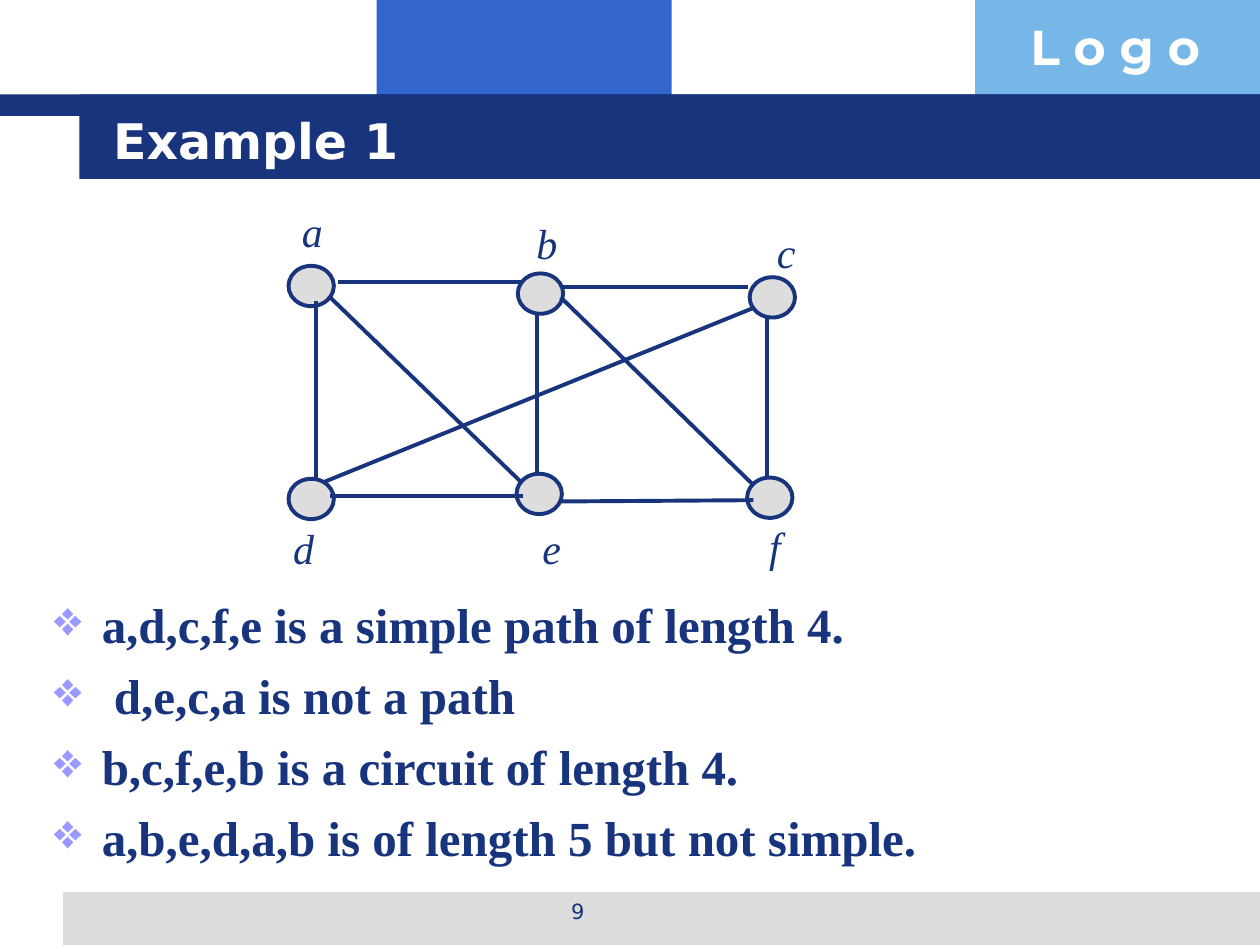
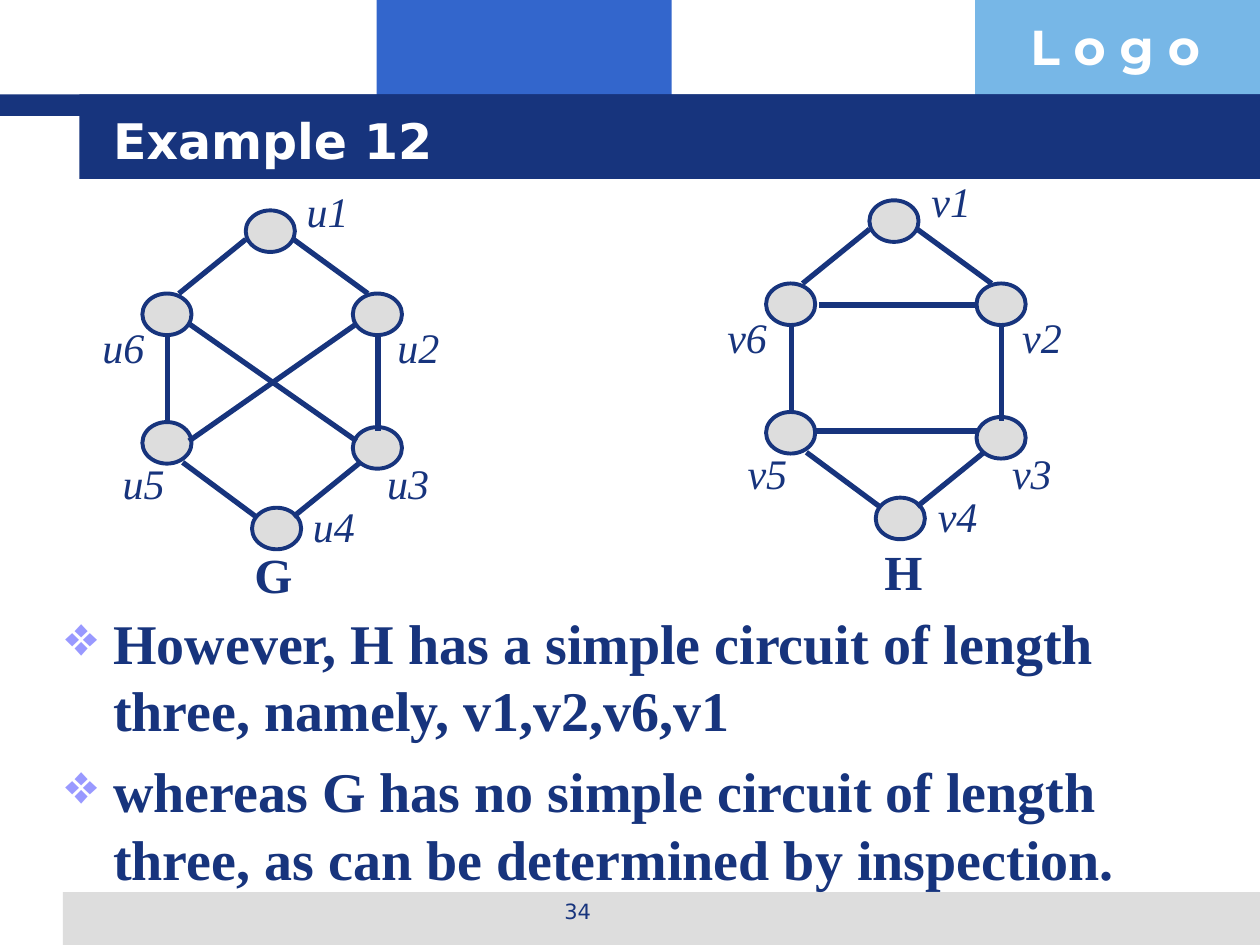
"""Build two graph-theory example slides with a shared banner and footer."""
from dataclasses import dataclass
from typing import NamedTuple

import pptx
import pptx.dml.color
import pptx.enum.shapes
import pptx.enum.text
import pptx.oxml.ns
import pptx.slide
import pptx.text.text
import pptx.util
from lxml import etree

Inches = pptx.util.Inches
Pt = pptx.util.Pt
RGB = pptx.dml.color.RGBColor.from_string
qn = pptx.oxml.ns.qn
SHAPE = pptx.enum.shapes.MSO_SHAPE
ALIGN = pptx.enum.text.PP_ALIGN
ANCHOR = pptx.enum.text.MSO_ANCHOR
Slide = pptx.slide.Slide


@dataclass(frozen=True)
class Theme:
    navy: str = "17347D"
    blue: str = "3366CC"
    sky: str = "77B7E7"
    grey: str = "DDDDDD"
    white: str = "FFFFFF"
    bullet: str = "9999FF"
    sans: str = "DejaVu Sans"
    serif: str = "Times New Roman"
    logo: str = "Montserrat"
    heading: int = 28
    label: int = 24
    footer: int = 12
    outline: float = 2.25


THEME = Theme()


class Box(NamedTuple):
    left: float
    top: float
    width: float
    height: float

    def lengths(self) -> list[int]:
        return [Inches(v) for v in self]


class Band(NamedTuple):
    box: Box
    fill: str


class Node(NamedTuple):
    name: str
    left: float
    top: float
    label_x: float
    label_top: float


class Edge(NamedTuple):
    x1: float
    y1: float
    x2: float
    y2: float


@dataclass(frozen=True)
class Graph:
    nodes: list[Node]
    edges: list[Edge]
    node_width: float
    node_height: float
    edge_width: float
    dx: float = 0
    dy: float = 0


@dataclass(frozen=True)
class Bullets:
    box: Box
    size: int
    gap: int
    lines: list[str]


BANDS = [
    Band(Box(2.99, 0, 2.34, 0.92), THEME.blue),
    Band(Box(7.74, 0, 2.26, 0.92), THEME.sky),
    Band(Box(0.5, 7.08, 9.5, 0.42), THEME.grey),
    Band(Box(0, 0.75, 10, 0.17), THEME.navy),
    Band(Box(0.63, 0.75, 9.37, 0.67), THEME.navy),
]

PATH_GRAPH = Graph(
    nodes=[
        Node("a", 2.29, 2.11, 2.48, 1.58),
        Node("b", 4.11, 2.17, 4.34, 1.68),
        Node("c", 5.95, 2.2, 6.24, 1.75),
        Node("d", 2.29, 3.8, 2.41, 4.1),
        Node("e", 4.1, 3.76, 4.38, 4.1),
        Node("f", 5.93, 3.79, 6.15, 4.08),
    ],
    edges=[
        Edge(2.51, 2.39, 2.51, 3.8),
        Edge(2.68, 2.24, 4.15, 2.24),
        Edge(4.26, 2.49, 4.26, 3.75),
        Edge(4.15, 3.94, 2.62, 3.94),
        Edge(4.47, 2.28, 5.94, 2.28),
        Edge(6.09, 2.52, 6.09, 3.79),
        Edge(5.98, 3.97, 4.45, 3.98),
        Edge(2.61, 2.35, 4.14, 3.83),
        Edge(4.45, 2.36, 5.98, 3.85),
        Edge(5.99, 2.44, 2.56, 3.83),
    ],
    node_width=0.36, node_height=0.32, edge_width=THEME.outline)

HEXAGON = [
    Node("1", 1.95, 1.67, 2.6, 1.42),
    Node("2", 2.8, 2.33, 3.32, 2.5),
    Node("3", 2.8, 3.39, 3.24, 3.58),
    Node("4", 2, 4.03, 2.65, 3.92),
    Node("5", 1.13, 3.35, 1.14, 3.58),
    Node("6", 1.13, 2.33, 0.98, 2.5),
]
RIM = [
    Edge(1.42, 2.33, 1.95, 1.9),
    Edge(2.92, 2.33, 2.33, 1.9),
    Edge(1.33, 3.33, 1.33, 2.67),
    Edge(2.33, 4.1, 2.86, 3.67),
    Edge(2.03, 4.1, 1.45, 3.67),
    Edge(3, 3.42, 3, 2.67),
]
CROSSING = [Edge(2.83, 3.5, 1.5, 2.57), Edge(1.5, 3.5, 2.83, 2.57)]
PARALLEL = [Edge(2.8, 2.5, 1.55, 2.5), Edge(1.5, 3.5, 2.8, 3.5)]


def hexagon_graph(prefix: str, chords: list[Edge], dx: float = 0, dy: float = 0) -> Graph:
    nodes = [node._replace(name=prefix + node.name) for node in HEXAGON]
    return Graph(nodes, RIM + chords, 0.39, 0.33, 3, dx, dy)


def format_paragraph(p: pptx.text.text._Paragraph, text: str, *, size: int, font: str,
                     color: str = THEME.navy, bold: bool = False, italic: bool = False,
                     align: ALIGN = ALIGN.LEFT) -> None:
    p.alignment = align
    r = p.add_run()
    r.text = text
    r.font.size, r.font.name = Pt(size), font
    r.font.bold, r.font.italic = bold, italic
    r.font.color.rgb = RGB(color)


def add_text(s: Slide, box: Box, text: str, *, anchor: ANCHOR = ANCHOR.TOP,
             wrap: bool = True, **fmt) -> None:
    tf = s.shapes.add_textbox(*box.lengths()).text_frame
    tf.word_wrap, tf.vertical_anchor = wrap, anchor
    format_paragraph(tf.paragraphs[0], text, **fmt)


def add_filled(s: Slide, kind: SHAPE, box: Box, fill: str, outline: bool = False) -> None:
    sp = s.shapes.add_shape(kind, *box.lengths())
    sp.shadow.inherit = False
    sp.fill.solid()
    sp.fill.fore_color.rgb = RGB(fill)
    if outline:
        sp.line.color.rgb = RGB(THEME.navy)
        sp.line.width = Pt(THEME.outline)
    else:
        sp.line.fill.background()


def add_edge(s: Slide, edge: Edge, width: float) -> None:
    line = s.shapes.add_connector(pptx.enum.shapes.MSO_CONNECTOR.STRAIGHT,
                                  *[Inches(v) for v in edge])
    line.line.color.rgb = RGB(THEME.navy)
    line.line.width = Pt(width)
    etree.SubElement(line._element.spPr, qn("a:effectLst"))


def add_graph(s: Slide, graph: Graph) -> None:
    dx, dy = graph.dx, graph.dy
    for node in graph.nodes:
        box = Box(node.left + dx, node.top + dy, graph.node_width, graph.node_height)
        add_filled(s, SHAPE.OVAL, box, THEME.grey, outline=True)
    for x1, y1, x2, y2 in graph.edges:
        add_edge(s, Edge(x1 + dx, y1 + dy, x2 + dx, y2 + dy), graph.edge_width)
    width = 0.53
    for node in graph.nodes:
        box = Box(node.label_x - width / 2 + dx, node.label_top + dy, width, 0.5)
        add_text(s, box, node.name, anchor=ANCHOR.MIDDLE, wrap=False, size=THEME.label,
                 font=THEME.serif, italic=True, align=ALIGN.CENTER)


def add_bullets(s: Slide, bullets: Bullets) -> None:
    tf = s.shapes.add_textbox(*bullets.box.lengths()).text_frame
    tf.word_wrap = True
    for i, text in enumerate(bullets.lines):
        p = tf.add_paragraph() if i else tf.paragraphs[0]
        if i:
            p.space_before = Pt(bullets.gap)
        pPr = p._p.get_or_add_pPr()
        pPr.set("marL", str(Inches(0.38)))
        pPr.set("indent", str(Inches(-0.38)))
        color = etree.SubElement(pPr, qn("a:buClr"))
        etree.SubElement(color, qn("a:srgbClr"), val=THEME.bullet)
        etree.SubElement(pPr, qn("a:buChar"), char="❖")
        format_paragraph(p, text, size=bullets.size, font=THEME.serif, bold=True)


def add_example(prs: pptx.presentation.Presentation, title: str, number: int,
                graphs: list[Graph], bullets: Bullets) -> Slide:
    s = prs.slides.add_slide(prs.slide_layouts[6])
    for band in BANDS:
        add_filled(s, SHAPE.RECTANGLE, band.box, band.fill)
    add_text(s, Box(8.08, 0.08, 1.93, 0.57), "L o g o", size=THEME.heading,
             font=THEME.logo, color=THEME.white, bold=True)
    add_text(s, Box(3.42, 7.08, 2.33, 0.35), str(number), size=THEME.footer,
             font=THEME.sans, align=ALIGN.CENTER)
    add_text(s, Box(0.8, 0.8, 8.53, 0.62), title, anchor=ANCHOR.MIDDLE,
             size=THEME.heading, font=THEME.sans, color=THEME.white, bold=True)
    for graph in graphs:
        add_graph(s, graph)
    add_bullets(s, bullets)
    return s


def main() -> None:
    prs = pptx.Presentation()
    prs.slide_width, prs.slide_height = Inches(10), Inches(7.5)
    add_example(prs, "Example 1", 9, [PATH_GRAPH], Bullets(
        Box(0.33, 4.67, 9.17, 2.33), 28, 7, [
            "a,d,c,f,e is a simple path of length 4.",
            " d,e,c,a is not a path",
            "b,c,f,e,b is a circuit of length 4.",
            "a,b,e,d,a,b is of length 5 but not simple.",
        ]))
    pair = [hexagon_graph("u", CROSSING), hexagon_graph("v", PARALLEL, 4.95, -0.08)]
    s = add_example(prs, "Example 12", 34, pair, Bullets(
        Box(0.42, 4.78, 9.42, 2.47), 32, 8, [
            "However, H has a simple circuit of length three, namely, v1,v2,v6,v1",
            "whereas G has no simple circuit of length three, as can be determined by inspection.",
        ]))
    for name, left, top in [("G", 1.92, 4.27), ("H", 6.92, 4.25)]:
        add_text(s, Box(left, top, 0.5, 0.57), name, wrap=False, size=THEME.heading,
                 font=THEME.serif, bold=True, align=ALIGN.CENTER)
    prs.save("out.pptx")


if __name__ == "__main__":
    main()
